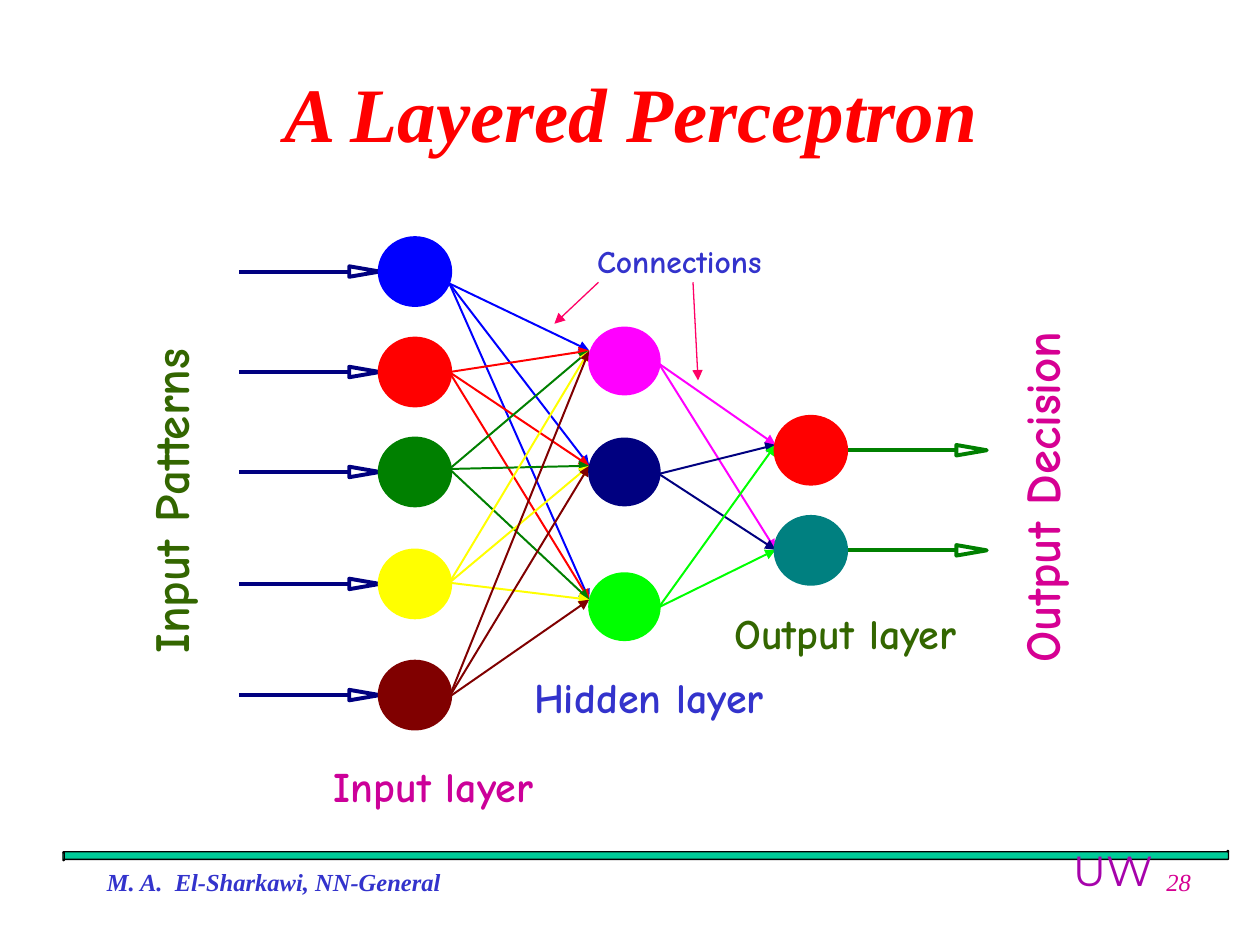
from dataclasses import dataclass

from lxml.etree import SubElement
from pptx import Presentation
from pptx.dml.color import RGBColor
from pptx.enum.shapes import MSO_CONNECTOR, MSO_SHAPE
from pptx.enum.text import MSO_ANCHOR, MSO_AUTO_SIZE, PP_ALIGN
from pptx.oxml.ns import qn
from pptx.util import Pt

COLORS = {
    "blue": "0000FF", "red": "FF0000", "green": "008000", "yellow": "FFFF00",
    "maroon": "800000", "magenta": "FF00FF", "navy": "000080", "lime": "00FF00",
    "teal": "008080", "pink": "FF0066", "bar": "00CC99", "black": "000000",
    "indigo": "3333CC", "olive": "336600", "rose": "D60093", "plum": "CC0099",
    "purple": "A603AB",
}
NEURON_WIDTH, NEURON_HEIGHT = 40.3, 38.2
INPUT_LEFT, HIDDEN_LEFT, OUTPUT_LEFT = 217, 336.7, 443.2
SHAFT_LENGTH, HEAD_LENGTH, HEAD_HALF = 63, 17.4, 3
COMIC = {"name": "Comic Neue", "bold": True}
TIMES = {"name": "Times New Roman", "italic": True}


@dataclass
class Neuron:
    left: float
    top: float
    color: str
    entry_y: float = 0
    exit_y: float = 0
    border: float = 2.25

    @property
    def right(self) -> float:
        return self.left + NEURON_WIDTH

    @property
    def middle(self) -> float:
        return self.top + NEURON_HEIGHT / 2


@dataclass
class Label:
    text: str
    box: tuple[float, float, float, float]
    color: str
    font: dict
    rotation: float = 0
    wrap: bool = False
    grow: bool = True
    align: PP_ALIGN = PP_ALIGN.LEFT
    anchor: MSO_ANCHOR = MSO_ANCHOR.TOP


INPUTS = [
    Neuron(INPUT_LEFT, 136.1, "blue", exit_y=162),
    Neuron(INPUT_LEFT, 193.5, "red", exit_y=212.6),
    Neuron(INPUT_LEFT, 250.6, "green", exit_y=268),
    Neuron(INPUT_LEFT, 314.6, "yellow", exit_y=333),
    Neuron(INPUT_LEFT, 378.1, "maroon", exit_y=398.2),
]
HIDDEN = [
    Neuron(HIDDEN_LEFT, 187.2, "magenta", 200.3, 207.8, 1.13),
    Neuron(HIDDEN_LEFT, 250.6, "navy", 266.2, 270.8, 1.13),
    Neuron(HIDDEN_LEFT, 327.6, "lime", 342.7, 347, 1.13),
]
OUTPUTS = [
    Neuron(OUTPUT_LEFT, 238.2, "red", 254.2),
    Neuron(OUTPUT_LEFT, 295.4, "teal", 314.2),
]
LABELS = [
    Label("UW", (606, 478.8, 60, 25.2), "purple",
          {"name": "Montserrat", "size": Pt(24)}, grow=False),
    Label("M. A.  El-Sharkawi, NN-General", (54, 491.8, 419.8, 36), "indigo",
          {**TIMES, "size": Pt(14), "bold": True}, wrap=True, grow=False),
    Label("28", (516.2, 491.8, 171.4, 36), "rose", {**TIMES, "size": Pt(14)},
          wrap=True, grow=False, align=PP_ALIGN.RIGHT),
    Label("Input Patterns", (-10.1, 252.7, 214.6, 41), "olive",
          {**COMIC, "size": Pt(28)}, rotation=270, wrap=True),
    Label("Output Decision", (489.7, 260, 210, 41), "rose",
          {**COMIC, "size": Pt(28)}, rotation=270),
    Label("Connections", (334.1, 134.6, 114, 28.8), "indigo", {**COMIC, "size": Pt(18)}),
    Label("Input layer", (183.6, 431.3, 134, 36), "plum", {**COMIC, "size": Pt(24)}),
    Label("Hidden layer", (298.1, 380.2, 152, 36), "indigo", {**COMIC, "size": Pt(24)}),
    Label("Output layer", (412.6, 343.4, 148, 36), "olive", {**COMIC, "size": Pt(24)}),
    Label("A Layered Perceptron", (88.6, 18.7, 544.3, 90), "red",
          {**TIMES, "size": Pt(44), "bold": True}, wrap=True, grow=False,
          align=PP_ALIGN.CENTER, anchor=MSO_ANCHOR.MIDDLE),
]
POINTERS = [((396, 161.3), (398.9, 217.4)), ((342, 161.3), (316.8, 185))]


def rgb(color: str) -> RGBColor:
    return RGBColor.from_string(COLORS[color])


def draw_line(shapes, start: tuple, end: tuple, color: str, width: float,
              arrow: bool = True) -> None:
    connector = shapes.add_connector(MSO_CONNECTOR.STRAIGHT, *map(Pt, start + end))
    connector.line.color.rgb = rgb(color)
    connector.line.width = Pt(width)
    if arrow:
        SubElement(connector.line._get_or_add_ln(), qn("a:tailEnd"), type="triangle")
    SubElement(connector._element.spPr, qn("a:effectLst"))


def draw_open_arrow(shapes, left: float, y: float, color: str) -> None:
    base = left + SHAFT_LENGTH
    draw_line(shapes, (left, y), (base, y), color, 2.25, arrow=False)
    builder = shapes.build_freeform(Pt(base), Pt(y - HEAD_HALF))
    builder.add_line_segments(
        [(Pt(base + HEAD_LENGTH), Pt(y)), (Pt(base), Pt(y + HEAD_HALF))], close=True)
    head = builder.convert_to_shape()
    head.shadow.inherit = False
    head.fill.background()
    head.line.color.rgb = rgb(color)
    head.line.width = Pt(2.25)


def draw_filled(shapes, kind: MSO_SHAPE, box: tuple, fill: str, border: str,
                width: float) -> None:
    shape = shapes.add_shape(kind, *map(Pt, box))
    shape.shadow.inherit = False
    shape.fill.solid()
    shape.fill.fore_color.rgb = rgb(fill)
    shape.line.color.rgb = rgb(border)
    shape.line.width = Pt(width)


def draw_connections(shapes, sources: list[Neuron], targets: list[Neuron]) -> None:
    for source in sources:
        for target in targets:
            draw_line(shapes, (source.right - 0.5, source.exit_y),
                      (target.left, target.entry_y), source.color, 1.13)


def draw_label(shapes, label: Label) -> None:
    shape = shapes.add_textbox(*map(Pt, label.box))
    shape.rotation = label.rotation
    frame = shape.text_frame
    frame.word_wrap = label.wrap
    frame.vertical_anchor = label.anchor
    frame.auto_size = MSO_AUTO_SIZE.SHAPE_TO_FIT_TEXT if label.grow else MSO_AUTO_SIZE.NONE
    paragraph = frame.paragraphs[0]
    paragraph.alignment = label.align
    run = paragraph.add_run()
    run.text = label.text
    for attribute, value in label.font.items():
        setattr(run.font, attribute, value)
    run.font.color.rgb = rgb(label.color)


def main() -> None:
    presentation = Presentation()
    presentation.slide_width, presentation.slide_height = Pt(720), Pt(540)
    slide = presentation.slides.add_slide(presentation.slide_layouts[6])
    shapes = slide.shapes
    draw_filled(shapes, MSO_SHAPE.HORIZONTAL_SCROLL, (36, 486, 666, 5.8),
                "bar", "black", 0.75)
    draw_connections(shapes, INPUTS, HIDDEN)
    draw_connections(shapes, HIDDEN, OUTPUTS)
    for neuron in OUTPUTS:
        draw_open_arrow(shapes, neuron.right, neuron.middle, "green")
    for neuron in INPUTS:
        draw_open_arrow(shapes, neuron.left - SHAFT_LENGTH - HEAD_LENGTH,
                        neuron.middle, "navy")
    for neuron in HIDDEN + OUTPUTS + INPUTS:
        draw_filled(shapes, MSO_SHAPE.OVAL,
                    (neuron.left, neuron.top, NEURON_WIDTH, NEURON_HEIGHT),
                    neuron.color, neuron.color, neuron.border)
    for start, end in POINTERS:
        draw_line(shapes, start, end, "pink", 0.75)
    for label in LABELS:
        draw_label(shapes, label)
    presentation.save("out.pptx")


if __name__ == "__main__":
    main()
